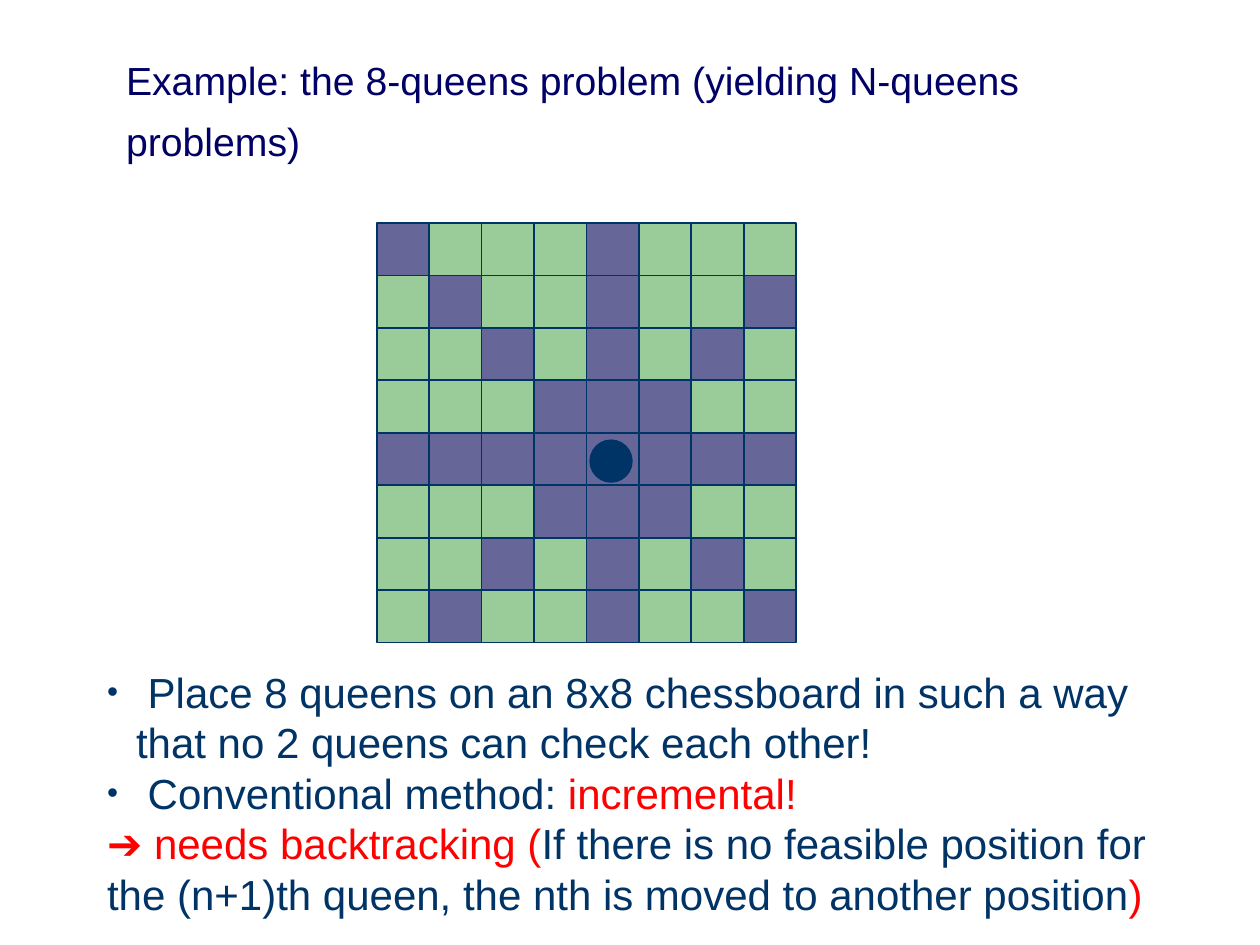
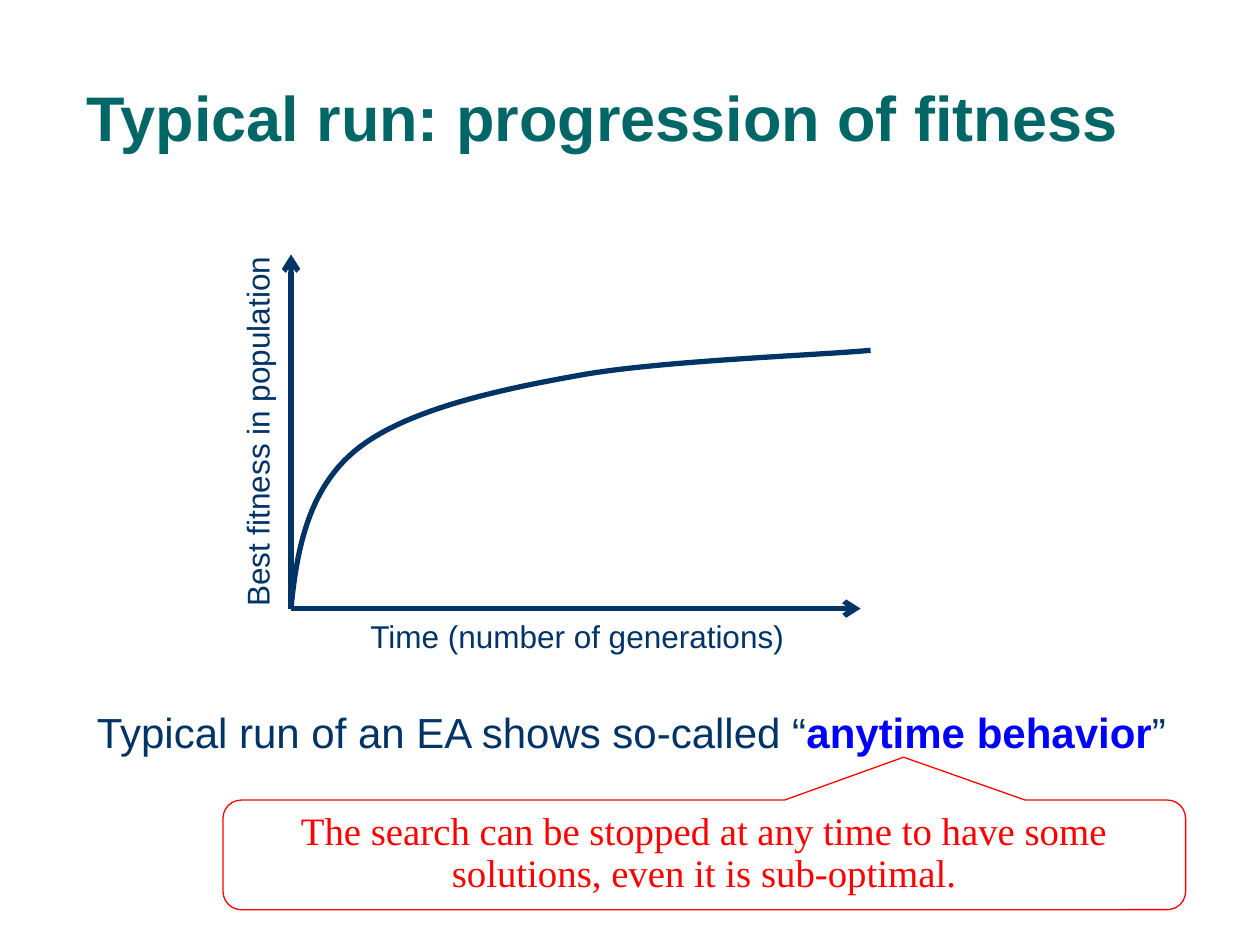
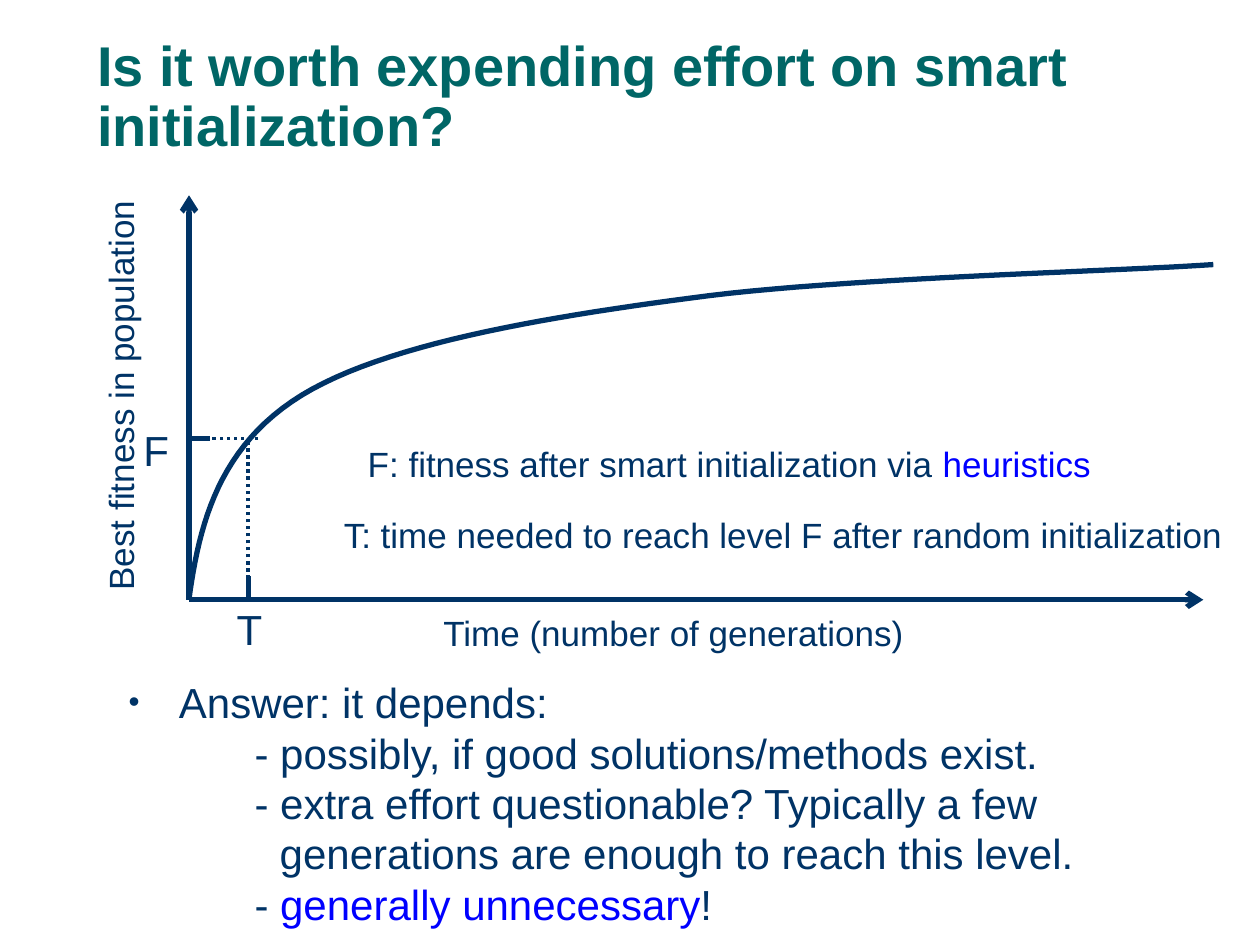
from lxml.etree import SubElement as Sub
from pptx import Presentation
from pptx.dml.color import RGBColor as RGB
from pptx.enum.dml import MSO_LINE as Dash
from pptx.enum.shapes import MSO_CONNECTOR as Conn, MSO_SHAPE as Geo
from pptx.enum.text import MSO_ANCHOR as Anchor, MSO_AUTO_SIZE as Auto, PP_ALIGN as Align
from pptx.oxml.ns import qn
from pptx.util import Inches, Pt

# Shared look
NAVY = RGB(0x00, 0x33, 0x66)
TEAL = RGB(0x00, 0x66, 0x66)
INDIGO = RGB(0x00, 0x00, 0x66)
BLUE = RGB(0x00, 0x00, 0xFF)
RED = RGB(0xFF, 0x00, 0x00)
GREEN = RGB(0x99, 0xCC, 0x99)
PURPLE = RGB(0x66, 0x66, 0x99)
SANS, SERIF = "Arial", "Times New Roman"
LEAD = 1.2  # line height per point of text size

# Fitness curve: three Bezier arcs, as shares of width and height
CURVE = [(0, 0), (0.01, 0.23), (0.03, 0.46), (0.11, 0.61), (0.19, 0.76),
         (0.34, 0.84), (0.49, 0.9), (0.63, 0.96), (0.91, 0.98), (1, 1)]
STEPS = 24


# Text
def indent(para, left, first, dot):
    props = para._p.get_or_add_pPr()
    props.set("marL", str(Inches(left)))
    props.set("indent", str(Inches(first)))
    if not dot:
        Sub(props, qn("a:buNone"))
        return
    Sub(Sub(props, qn("a:buClr")), qn("a:srgbClr")).set("val", str(NAVY))
    Sub(props, qn("a:buSzPct")).set("val", "75000")
    Sub(props, qn("a:buFont")).set("typeface", SANS)
    Sub(props, qn("a:buChar")).set("char", "•")


def write(para, runs, size, font=SANS, gap=1, left=0, first=0, dot=False,
          align=Align.LEFT):
    """Each run is (text, colour) or (text, colour, bold)."""
    indent(para, left, first, dot)
    para.alignment = align
    para.line_spacing = Pt(round(LEAD * size * gap, 1))
    para.space_before = para.space_after = Pt(0)
    for text, color, *bold in runs:
        run = para.add_run()
        run.text = text
        run.font.name, run.font.size = font, Pt(size)
        run.font.color.rgb = color
        run.font.bold = bool(bold and bold[0])


def place(shape, box):
    shape.left, shape.top, shape.width, shape.height = map(Inches, box)


def title(slide, box, text, size, color=TEAL, bold=True, gap=0.9, anchor=Anchor.MIDDLE):
    shape = slide.shapes.title
    place(shape, box)
    frame = shape.text_frame
    frame.auto_size, frame.vertical_anchor = Auto.NONE, anchor
    write(frame.paragraphs[0], [(text, color, bold)], size, gap=gap)


def body(slide, box, items):
    shape = slide.placeholders[1]
    place(shape, box)
    frame = shape.text_frame
    frame.auto_size, frame.vertical_anchor = Auto.NONE, Anchor.TOP
    for n, (runs, form) in enumerate(items):
        para = frame.add_paragraph() if n else frame.paragraphs[0]
        write(para, runs, 24, **form)


def label(slide, box, runs, size, wrap=False, turn=0):
    shape = slide.shapes.add_textbox(*map(Inches, box))
    shape.rotation = turn
    shape.text_frame.word_wrap = wrap
    write(shape.text_frame.paragraphs[0], runs, size)


# Shapes and lines
def tile(shapes, geo, box, fill, line=NAVY, width=1):
    shape = shapes.add_shape(geo, *map(Inches, box))
    shape.shadow.inherit = False
    if fill is None:
        shape.fill.background()
    else:
        shape.fill.solid()
        shape.fill.fore_color.rgb = fill
    shape.line.color.rgb, shape.line.width = line, Pt(width)
    return shape


def rule(slide, start, end, width=3, dash=None, arrow=False):
    line = slide.shapes.add_connector(Conn.STRAIGHT, *map(Inches, (*start, *end)))
    line.line.color.rgb, line.line.width = NAVY, Pt(width)
    if dash:
        line.line.dash_style = dash
    props = line.element.spPr
    if arrow:
        Sub(props.find(qn("a:ln")), qn("a:tailEnd")).set("type", "arrow")
    Sub(props, qn("a:effectLst"))


def bezier(a, b, c, d, t):
    s = 1 - t
    return [s**3 * p + 3 * s * s * t * q + 3 * s * t * t * u + t**3 * v
            for p, q, u, v in zip(a, b, c, d)]


def curve(slide, x, base, wide, high):
    points = [bezier(*CURVE[n:n + 4], step / STEPS)
              for n in (0, 3, 6) for step in range(1, STEPS + 1)]
    spots = [(Inches(x + p * wide), Inches(base - q * high)) for p, q in points]
    build = slide.shapes.build_freeform(Inches(x), Inches(base))
    build.add_line_segments(spots, close=False)
    shape = build.convert_to_shape()
    shape.shadow.inherit = False
    shape.fill.background()
    shape.line.color.rgb, shape.line.width = NAVY, Pt(3)


def plot(slide, box, rise, size, time, fit):
    """Axes fill the box; time and fit give (offset, offset, length) of the labels."""
    x, y, wide, high = box
    base = y + high
    rule(slide, (x, base), (x + wide, base), arrow=True)
    rule(slide, (x, base), (x, y), arrow=True)
    curve(slide, x, base, wide + 0.08, rise)
    tall = size / 45
    dx, dy, span = time
    label(slide, (x + dx, base + dy, span, tall),
          [("Time (number of generations)", NAVY)], size)
    dx, dy, span = fit
    label(slide, (x - dx - span / 2, y + high / 2 + dy - tall / 2, span, tall),
          [("Best fitness in population", NAVY)], size, turn=270)


# Slide 1: chessboard
def board(slide, x, y, side, row=4, col=4, count=8):
    group = slide.shapes.add_group_shape().shapes
    cell = side / count
    for r in range(count):
        for c in range(count):
            hit = r == row or c == col or abs(r - row) == abs(c - col)
            tile(group, Geo.RECTANGLE, (x + c * cell, y + r * cell, cell, cell),
                 PURPLE if hit else GREEN)
    tile(group, Geo.OVAL, (x + col * cell + 0.03, y + row * cell + 0.06, 0.33, 0.33), NAVY)


def queens(slide):
    title(slide, (0.9, 0.28, 8.19, 1.08),
          "Example: the 8-queens problem (yielding N-queens problems)",
          22.4, INDIGO, False, 1.3)
    board(slide, 2.99, 1.77, 3.33)
    dot = dict(left=0.23, first=-0.23, dot=True)
    body(slide, (0.75, 5.24, 8.86, 2.1), [
        ([(" Place 8 queens on an 8x8 chessboard in such a way "
           "that no 2 queens can check each other!", NAVY)], dot),
        ([(" Conventional method: ", NAVY), ("incremental!", RED)], dot),
        ([("➔ needs backtracking (", RED),
          ("If there is no feasible position for the (n+1)th queen, "
           "the nth is moved to another position", NAVY), (")", RED)], {}),
    ])


# Slide 2: typical run
def callout(slide, box):
    shape = tile(slide.shapes, Geo.ROUNDED_RECTANGULAR_CALLOUT, box, None, RED, 0.75)
    for n, value in enumerate((0.207, -0.891, 0.167)):
        shape.adjustments[n] = value
    frame = shape.text_frame
    frame.word_wrap, frame.vertical_anchor = True, Anchor.TOP
    write(frame.paragraphs[0],
          [("The search can be stopped at any time to have some solutions, "
            "even it is sub-optimal.", RED)],
          22.2, SERIF, 0.9, align=Align.CENTER)


def progress(slide):
    title(slide, (0.59, 0.52, 8.5, 0.75), "Typical run: progression of fitness",
          36, anchor=Anchor.BOTTOM)
    plot(slide, (2.31, 2.02, 4.52, 2.81), 2.05, 18, (0.53, 0.02, 3.49), (0.27, -0.03, 3.04))
    label(slide, (0.67, 5.56, 9.14, 0.5),
          [("Typical run of an EA shows so-called “", NAVY),
           ("anytime behavior", BLUE, True), ("”", NAVY)], 24, wrap=True)
    callout(slide, (1.77, 6.35, 7.64, 0.87))


# Slide 3: smart initialization
def level(slide, x, base, dx, dy):
    """Marks the point (dx, dy) of the curve with guides, ticks and letters."""
    across, up = x + dx, base - dy
    rule(slide, (across, base), (across, up), 2, Dash.ROUND_DOT)
    rule(slide, (across, base), (across, base - 0.19))
    rule(slide, (across + 0.08, up), (x, up), 2, Dash.ROUND_DOT)
    rule(slide, (x, up), (x + 0.17, up))
    label(slide, (across - 0.19, base - 0.02, 0.4, 0.5), [("T", NAVY)], 24)
    label(slide, (x - 0.46, up - 0.16, 0.4, 0.5), [("F", NAVY)], 24)
    label(slide, (x + 1.32, up - 0.02, 6.28, 0.77),
          [("F: fitness after smart initialization via ", NAVY), ("heuristics", BLUE)],
          20, wrap=True)
    label(slide, (x + 1.13, up + 0.55, 7.21, 0.77),
          [("T: time needed to reach level F after random initialization", NAVY)],
          20, wrap=True)


def smart(slide):
    title(slide, (0.67, 0.15, 8.5, 1.25),
          "Is it worth expending effort on smart initialization?", 32)
    plot(slide, (1.5, 1.55, 8.05, 3.21), 2.66, 20, (1.92, 0.04, 3.86), (0.54, -0.07, 3.4))
    level(slide, 1.5, 4.76, 0.47, 1.28)
    dash = dict(left=1.2, first=-0.2)
    body(slide, (0.92, 5.32, 8.57, 2.1), [
        ([("Answer: it depends:", NAVY)], dict(left=0.4, first=-0.4, dot=True)),
        ([("- possibly, if good solutions/methods exist.", NAVY)], dash),
        ([("- extra effort questionable? Typically a few "
           "generations are enough to reach this level.", NAVY)], dash),
        ([("- ", NAVY), ("generally unnecessary", BLUE), ("!", NAVY)], dash),
    ])


def main():
    deck = Presentation()
    deck.slide_width, deck.slide_height = Inches(10), Inches(7.5)
    for draw, layout in ((queens, 1), (progress, 5), (smart, 1)):
        draw(deck.slides.add_slide(deck.slide_layouts[layout]))
    deck.save("out.pptx")


if __name__ == "__main__":
    main()
